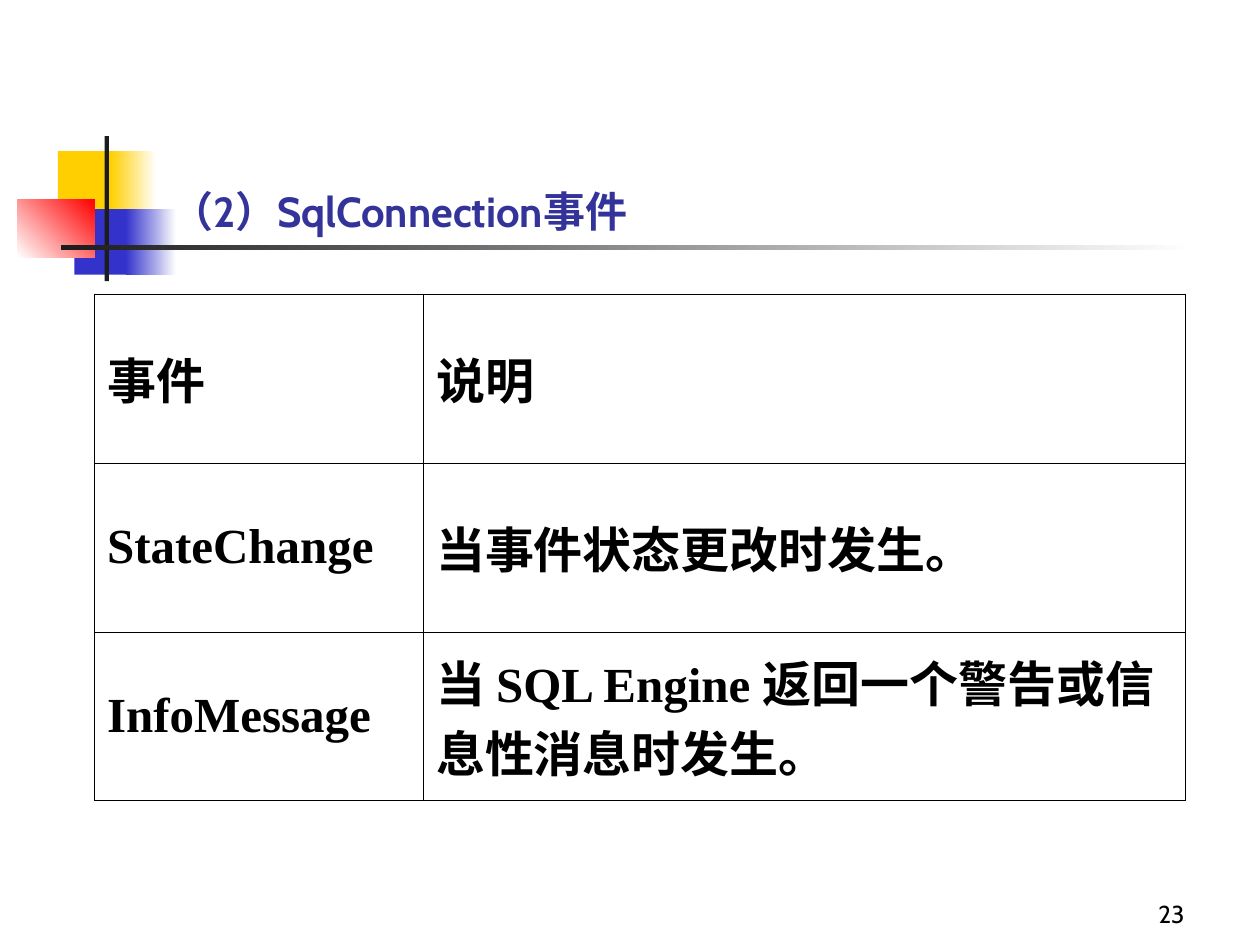
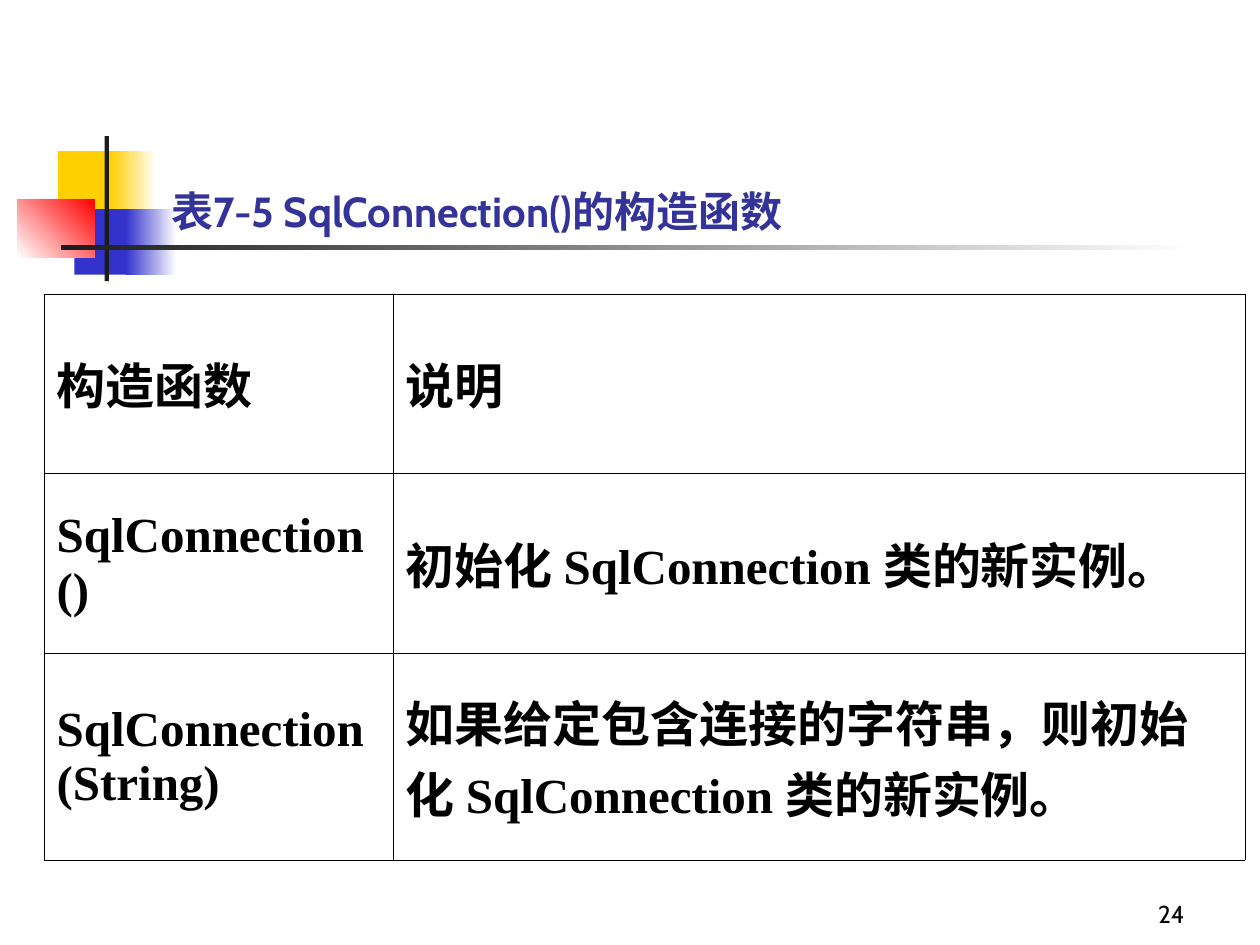
from lxml import etree
from pptx import Presentation
from pptx.dml.color import RGBColor
from pptx.enum import shapes, text
from pptx.oxml import ns
from pptx.util import Pt

SLIDES = [
    dict(num=23, title="（2）SqlConnection事件", left=54, cols=(188, 435.5),
         rows=(96.5, 96.5, 96.5),
         cells=[("事件", "说明"),
                ("StateChange", "当事件状态更改时发生。"),
                ("InfoMessage", "当 SQL Engine 返回一个警告或信息性消息时发生。")]),
    dict(num=24, title="表7-5 SqlConnection()的构造函数", left=25.2, cols=(199.5, 486.7),
         rows=(102.5, 103, 118),
         cells=[("构造函数", "说明"),
                ("SqlConnection ()", "初始化 SqlConnection 类的新实例。"),
                ("SqlConnection (String)",
                 "如果给定包含连接的字符串，则初始化 SqlConnection 类的新实例。")]),
]

WHITE = RGBColor(0xFF, 0xFF, 0xFF)
BLACK = RGBColor(0, 0, 0)
GOLD = RGBColor(0xFF, 0xCF, 0x01)
BLUE = RGBColor(0x33, 0x33, 0xCC)
RED = RGBColor(0xFF, 0, 0)
DARK = RGBColor(0x1C, 0x1C, 0x1C)
NAVY = RGBColor(0x33, 0x33, 0x99)

DECOR = [
    ((33.1, 86.4, 34.6, 37.4), (GOLD,), 0),
    ((63.4, 86.4, 25.9, 37.4), (GOLD, WHITE), 0),
    ((42.5, 119.5, 33.1, 37.4), (BLUE,), 0),
    ((72, 119.5, 28.8, 37.4), (BLUE, WHITE), 0),
    ((10, 113.8, 44, 33.1), (WHITE, RED), 45),
    ((59.8, 77.8, 2.4, 82.8), (DARK,), 0),
    ((34.6, 140.2, 648, 2.4), (DARK, WHITE), 0),
]

EAST = "Noto Sans CJK SC"
HEAD = dict(name="Cabin", size=Pt(24), bold=True)
CELL = dict(name="Times New Roman", size=Pt(28), bold=True)
FOOT = dict(name="Cabin", size=Pt(14), bold=False)
TITLE = (90.7, 48.2, 613.4, 90)
NUMBER = (534.2, 498.2, 149.8, 36)
TOP = 168
EDGE = 0.23


def write(frame, words, style, color, align, anchor):
    frame.word_wrap = True
    frame.vertical_anchor = anchor
    para = frame.paragraphs[0]
    para.alignment = align
    run = para.add_run()
    run.text = words
    for key, val in style.items():
        setattr(run.font, key, val)
    run.font.color.rgb = color
    etree.SubElement(run.font._element, ns.qn("a:ea"), typeface=EAST)


def decorate(slide, layout):
    for order, (box, colors, angle) in enumerate(DECOR):
        shape = slide.shapes.add_shape(shapes.MSO_SHAPE.RECTANGLE, *map(Pt, box))
        shape.shadow.inherit = False
        shape.line.fill.background()
        if len(colors) == 1:
            shape.fill.solid()
            shape.fill.fore_color.rgb = colors[0]
        else:
            shape.fill.gradient()
            shape.fill.gradient_angle = angle
            for stop, color in zip(shape.fill.gradient_stops, colors):
                stop.color.rgb = color
        shape.element.nvSpPr.cNvPr.set("id", str(100 + order))
        layout.shapes.element.insert(2 + order, shape.element)


def border(cell):
    props = cell._tc.get_or_add_tcPr()
    for side in ("lnL", "lnR", "lnT", "lnB"):
        line = etree.SubElement(props, ns.qn("a:" + side), w=str(int(Pt(EDGE))))
        fill = etree.SubElement(line, ns.qn("a:solidFill"))
        etree.SubElement(fill, ns.qn("a:srgbClr"), val=str(BLACK))


def grid(slide, data):
    cols, rows = data["cols"], data["rows"]
    size = (data["left"], TOP, sum(cols), sum(rows))
    table = slide.shapes.add_table(len(rows), len(cols), *map(Pt, size)).table
    table.first_row = table.horz_banding = False
    for col, width in zip(table.columns, cols):
        col.width = Pt(width)
    for row, high, line in zip(table.rows, rows, data["cells"]):
        row.height = Pt(high)
        for cell, words in zip(row.cells, line):
            write(cell.text_frame, words, CELL, BLACK, text.PP_ALIGN.LEFT, None)
            cell.vertical_anchor = text.MSO_ANCHOR.MIDDLE
            border(cell)
            cell.fill.background()


def build(deck, layout, data):
    slide = deck.slides.add_slide(layout)
    title = slide.shapes.title
    title.left, title.top, title.width, title.height = map(Pt, TITLE)
    title.text_frame.auto_size = text.MSO_AUTO_SIZE.NONE
    write(title.text_frame, data["title"], HEAD, NAVY,
          text.PP_ALIGN.LEFT, text.MSO_ANCHOR.BOTTOM)
    foot = slide.shapes.add_textbox(*map(Pt, NUMBER))
    write(foot.text_frame, str(data["num"]), FOOT, BLACK,
          text.PP_ALIGN.RIGHT, text.MSO_ANCHOR.BOTTOM)
    grid(slide, data)
    return slide


def main():
    deck = Presentation()
    deck.slide_width, deck.slide_height = Pt(720), Pt(540)
    layout = deck.slide_layouts[5]
    pages = [build(deck, layout, data) for data in SLIDES]
    decorate(pages[0], layout)
    deck.save("out.pptx")


if __name__ == "__main__":
    main()
